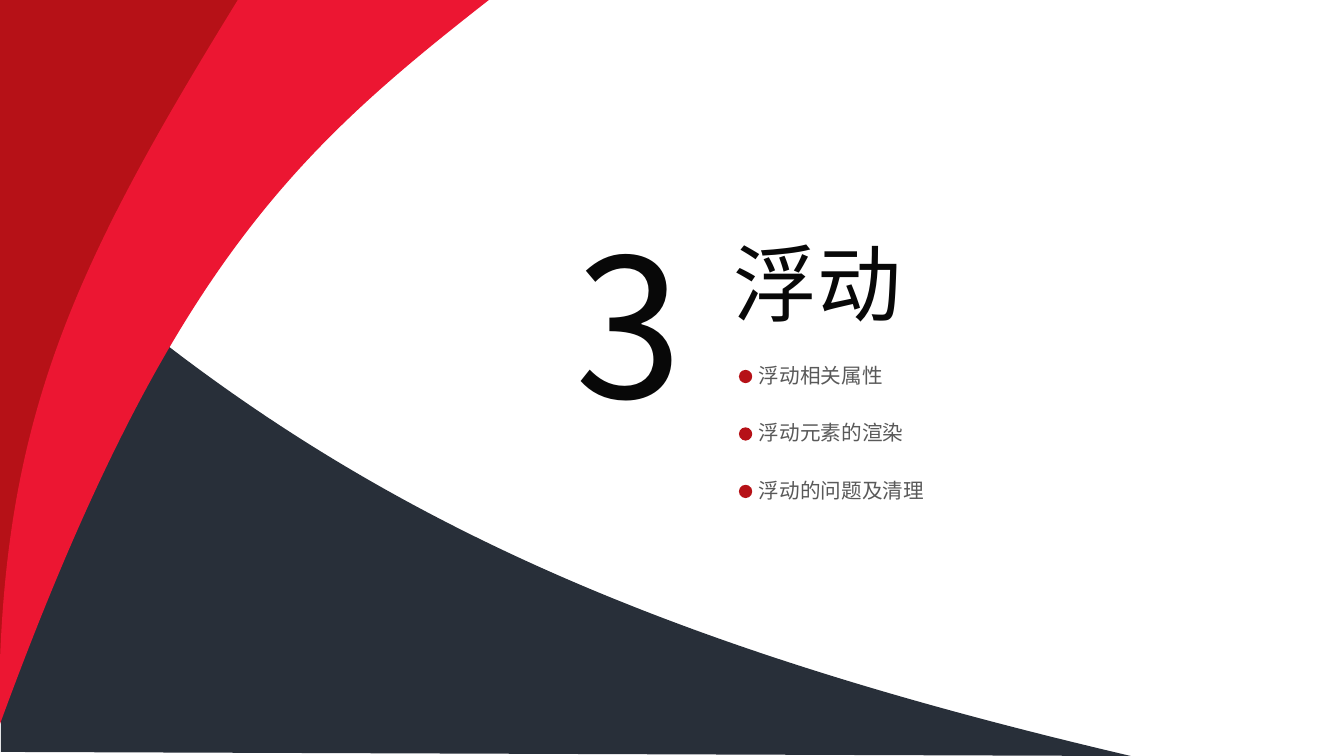
"""Build the section slide for chapter 3, with curved bands and three topics."""
from pptx import Presentation
from pptx.dml.color import RGBColor
from pptx.enum.shapes import MSO_SHAPE
from pptx.enum.text import MSO_ANCHOR, MSO_AUTO_SIZE
from pptx.oxml.ns import qn
from pptx.util import Pt

FONT = "Noto Sans CJK SC"
RED = "B61117"


def paint(shape, color):
    shape.fill.solid()
    shape.fill.fore_color.rgb = RGBColor.from_string(color)
    shape.line.fill.background()
    shape.shadow.inherit = False


def write(text, left, top, width, height, size, color):
    box = slide.shapes.add_textbox(Pt(left), Pt(top), Pt(width), Pt(height))
    frame = box.text_frame
    style = {"word_wrap": True, "vertical_anchor": MSO_ANCHOR.TOP,
             "auto_size": MSO_AUTO_SIZE.SHAPE_TO_FIT_TEXT}
    for name, value in style.items():
        setattr(frame, name, value)
    run = frame.paragraphs[0].add_run()
    run.text = text
    run.font.size = Pt(size)
    run.font.name = FONT
    run.font.color.rgb = RGBColor.from_string(color)
    east = run.font._element.makeelement(qn("a:ea"), {"typeface": FONT})
    run.font._element.find(qn("a:latin")).addnext(east)


deck = Presentation()
deck.slide_width, deck.slide_height = Pt(960), Pt(540)
slide = deck.slides.add_slide(deck.slide_layouts[6])

bands = [
    ("282F39", 1, [(-0.7, 143.3), (222.5, 356.4), (451.4, 456.5), (807.8, 540),
                   (0.7, 537.1)]),
    (RED, 1, [(231.8, 0), (106.6, 108.7), (105.8, 154.8), (-1.4, 480.2),
              (-1.4, -2.2)]),
    ("EC1632", 2, [(349.2, 0), (210.2, 108.7), (118.1, 193.7), (-0.7, 519.1),
                   (-1.4, 306), (48.2, 197.3), (169.9, 0)]),
]
for color, curves, points in bands:
    dots = [(Pt(x), Pt(y)) for x, y in points]
    pen = slide.shapes.build_freeform(*dots[0])
    pen.add_line_segments(dots[1:], close=True)
    band = pen.convert_to_shape()
    paint(band, color)
    legs = list(band._element.iter(qn("a:lnTo")))
    for first in range(0, 3 * curves, 3):
        curve = legs[first]
        curve.tag = qn("a:cubicBezTo")
        for leg in legs[first + 1:first + 3]:
            curve.append(leg[0])
            leg.getparent().remove(leg)

write("浮动", 516.6, 162, 414.7, 79.9, 60, "080808")
write("3", 404.2, 143.3, 112.3, 174.2, 138, "080808")

topics = [("浮动相关属性", 123.1), ("浮动元素的渲染", 170.6), ("浮动的问题及清理", 206.6)]
for row, (topic, width) in enumerate(topics):
    top = 255.6 + 41.04 * row
    dot = slide.shapes.add_shape(MSO_SHAPE.OVAL, Pt(527.8), Pt(top + 8.6), Pt(9.5), Pt(9.5))
    paint(dot, RED)
    write(topic, 535, top, width, 25.2, 14.7, "595959")

deck.save("out.pptx")
